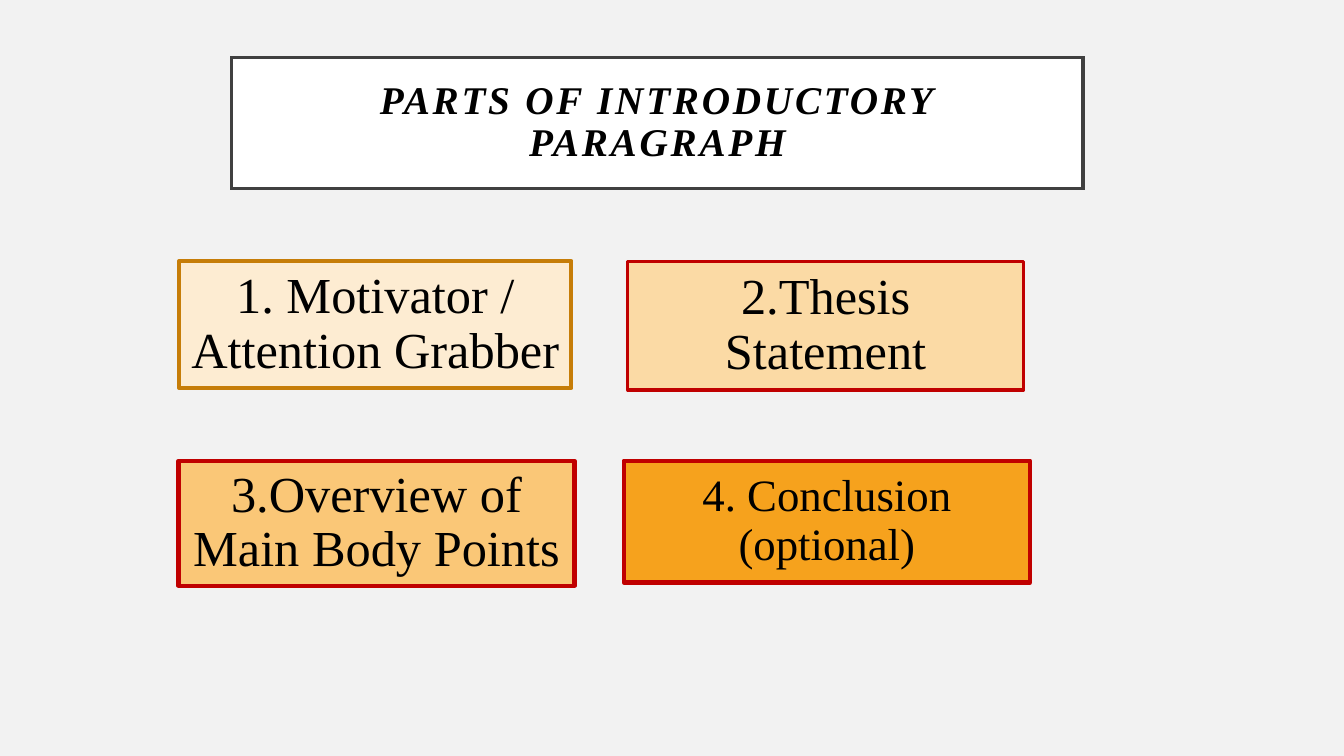
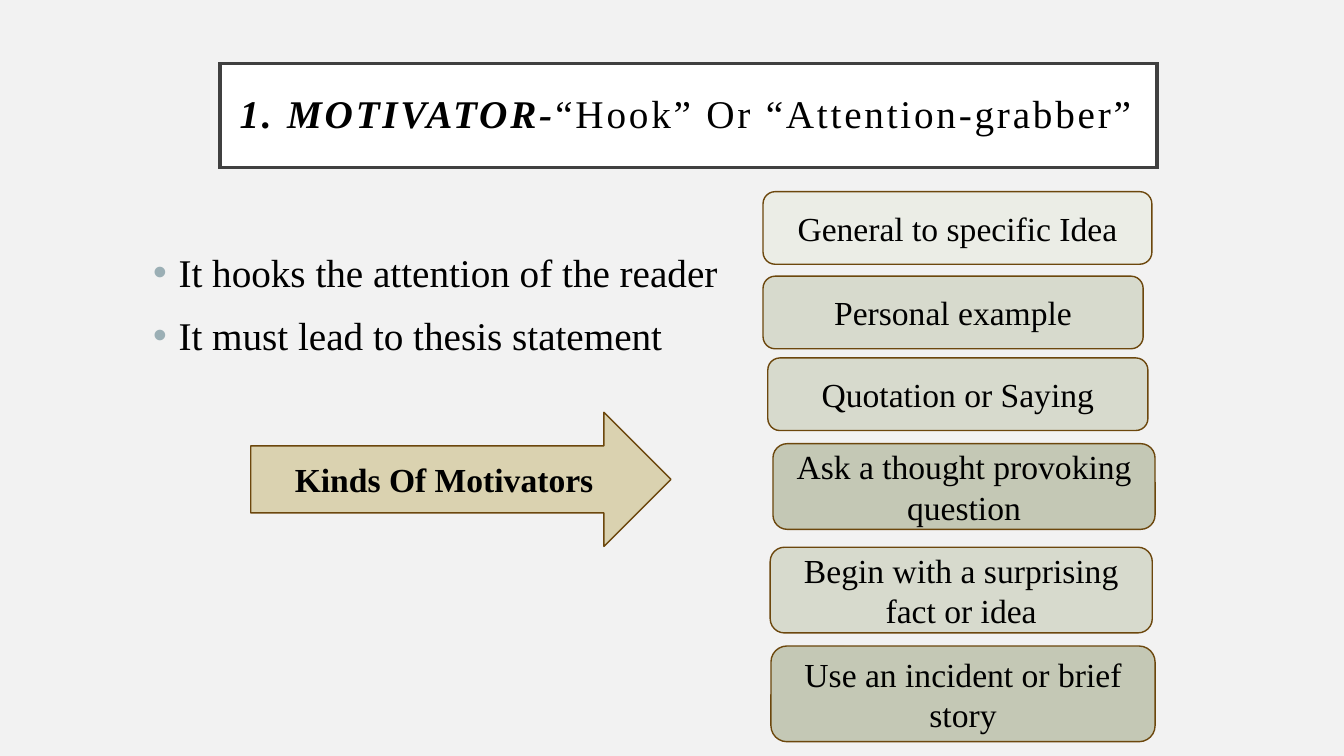
from lxml import etree
from pptx import Presentation
from pptx import util as u
from pptx.dml.color import RGBColor
from pptx.enum import shapes, text
from pptx.oxml.ns import qn

FONT = "Times New Roman"
INK, PAPER, WHITE = "000000", "F2F2F2", "FFFFFF"
TITLE_LINE, RED, OCHRE, BROWN = "404040", "C00000", "C67D08", "6C470D"
BULLET, ARROW_FILL = "9BAFB5", "DAD2B0"
MIST, SAGE, MOSS = "EBEDE6", "D7DACD", "C4C8B5"

TITLE_FONT = {"size": u.Pt(28)}
TITLE_ACCENT = {**TITLE_FONT, "bold": True, "italic": True}
LABEL_FONT = {"size": u.Pt(24)}

# Wording, left, top, width, height (cm), fill, line, line width, text size
PARTS = [
    ("1. Motivator / Attention Grabber", 4.52, 6.58, 9.88, 3.2, "FDECD2", OCHRE, 3, 36),
    ("2.Thesis Statement", 15.82, 6.58, 9.98, 3.25, "FBDAA5", RED, 2.25, 36),
    ("3.Overview of Main Body Points", 4.5, 11.61, 9.98, 3.15, "FAC777", RED, 3, 36),
    ("4. Conclusion (optional)", 15.72, 11.61, 10.24, 3.07, "F6A21D", RED, 3, 32),
]

# Wording, left, top, width, height (cm), fill
KINDS = [
    ("General to specific Idea", 19.23, 4.83, 9.8, 1.83, MIST),
    ("Personal example", 19.23, 6.96, 9.58, 1.83, SAGE),
    ("Quotation or Saying", 19.35, 9.02, 9.58, 1.83, SAGE),
    ("Ask a thought provoking question", 19.48, 11.18, 9.63, 2.16, MOSS),
    ("Begin with a surprising fact or idea", 19.41, 13.79, 9.63, 2.16, SAGE),
    ("Use an incident or brief story", 19.43, 16.28, 9.68, 2.41, MOSS),
]


def colour(value):
    return RGBColor.from_string(value)


def apply_format(target, values):
    for name, value in values.items():
        setattr(target, name, value)


def add_run(paragraph, wording, font_format):
    run = paragraph.add_run()
    run.text = wording
    apply_format(run.font, {"name": FONT, **font_format})
    run.font.color.rgb = colour(INK)
    return run


def set_frame(frame, inset=None, anchor=text.MSO_ANCHOR.MIDDLE):
    apply_format(frame, {"word_wrap": True, "vertical_anchor": anchor})
    if inset is not None:
        sides = ("left", "top", "right", "bottom")
        apply_format(frame, {f"margin_{side}": u.Cm(inset) for side in sides})


def add_box(slide, preset, place, fill, line, line_width, runs,
            inset=None, align=text.PP_ALIGN.CENTER, line_spacing=1.0):
    """Outlined shape holding one paragraph of (wording, font format) runs."""
    box = slide.shapes.add_shape(preset, *map(u.Cm, place))
    box.shadow.inherit = False
    box.fill.solid()
    box.fill.fore_color.rgb = colour(fill)
    box.line.color.rgb = colour(line)
    box.line.width = u.Pt(line_width)
    set_frame(box.text_frame, inset)
    paragraph = box.text_frame.paragraphs[0]
    apply_format(paragraph, {"alignment": align, "line_spacing": line_spacing})
    for wording, font_format in runs:
        add_run(paragraph, wording, font_format)
    return box


def add_title(slide, place, runs, align):
    title = add_box(slide, shapes.MSO_SHAPE.RECTANGLE, place, WHITE, TITLE_LINE, 2.5,
                    runs, inset=0.5, align=align, line_spacing=0.9)
    # Square corners and wide letter spacing
    outline = title.line._get_or_add_ln()
    etree.SubElement(outline, qn("a:miter"), lim="800000")
    for run in title.text_frame.paragraphs[0].runs:
        run._r.get_or_add_rPr().set("spc", "200")


def add_bullets(slide, place, points):
    frame = slide.shapes.add_textbox(*map(u.Cm, place)).text_frame
    set_frame(frame, anchor=text.MSO_ANCHOR.TOP)
    for index, point in enumerate(points):
        paragraph = frame.add_paragraph() if index else frame.paragraphs[0]
        properties = paragraph._p.get_or_add_pPr()
        properties.set("marL", str(u.Cm(0.64)))
        properties.set("indent", str(-u.Cm(0.64)))
        bullet_colour = etree.SubElement(properties, qn("a:buClr"))
        etree.SubElement(bullet_colour, qn("a:srgbClr"), val=BULLET)
        etree.SubElement(properties, qn("a:buFont"), typeface="Arial")
        etree.SubElement(properties, qn("a:buChar"), char="•")
        apply_format(paragraph, {"line_spacing": 1.05,
                                 "space_before": u.Pt(10 if index else 0)})
        add_run(paragraph, point, {"size": u.Pt(28)})


def build_parts(slide):
    add_title(slide, (5.84, 1.45, 21.46, 3.3),
              [("PARTS OF INTRODUCTORY PARAGRAPH", TITLE_ACCENT)], text.PP_ALIGN.CENTER)
    for wording, *place, fill, line, line_width, size in PARTS:
        add_box(slide, shapes.MSO_SHAPE.RECTANGLE, place, fill, line, line_width,
                [(wording, {"size": u.Pt(size)})], inset=0.25, line_spacing=0.9)


def build_motivator(slide):
    add_title(slide, (5.54, 1.6, 23.62, 2.62),
              [("1. MOTIVATOR-", TITLE_ACCENT),
               ("“Hook” Or “Attention-grabber”", TITLE_FONT)], text.PP_ALIGN.LEFT)
    add_bullets(slide, (3.61, 6.07, 28.24, 12.19),
                ["It hooks the attention of the reader", "It must lead to thesis statement"])
    add_box(slide, shapes.MSO_SHAPE.RIGHT_ARROW, (6.32, 10.39, 10.59, 3.38),
            ARROW_FILL, BROWN, 1, [("Kinds Of Motivators", {**LABEL_FONT, "bold": True})])
    for wording, *place, fill in KINDS:
        add_box(slide, shapes.MSO_SHAPE.ROUNDED_RECTANGLE, place, fill, BROWN, 1,
                [(wording, LABEL_FONT)])


def main():
    deck = Presentation()
    apply_format(deck, {"slide_width": u.Cm(33.87), "slide_height": u.Cm(19.05)})
    # Shared background
    backdrop = deck.slide_master.background.fill
    backdrop.solid()
    backdrop.fore_color.rgb = colour(PAPER)

    blank = deck.slide_layouts[6]
    for build in (build_parts, build_motivator):
        build(deck.slides.add_slide(blank))
    deck.save("out.pptx")


if __name__ == "__main__":
    main()
